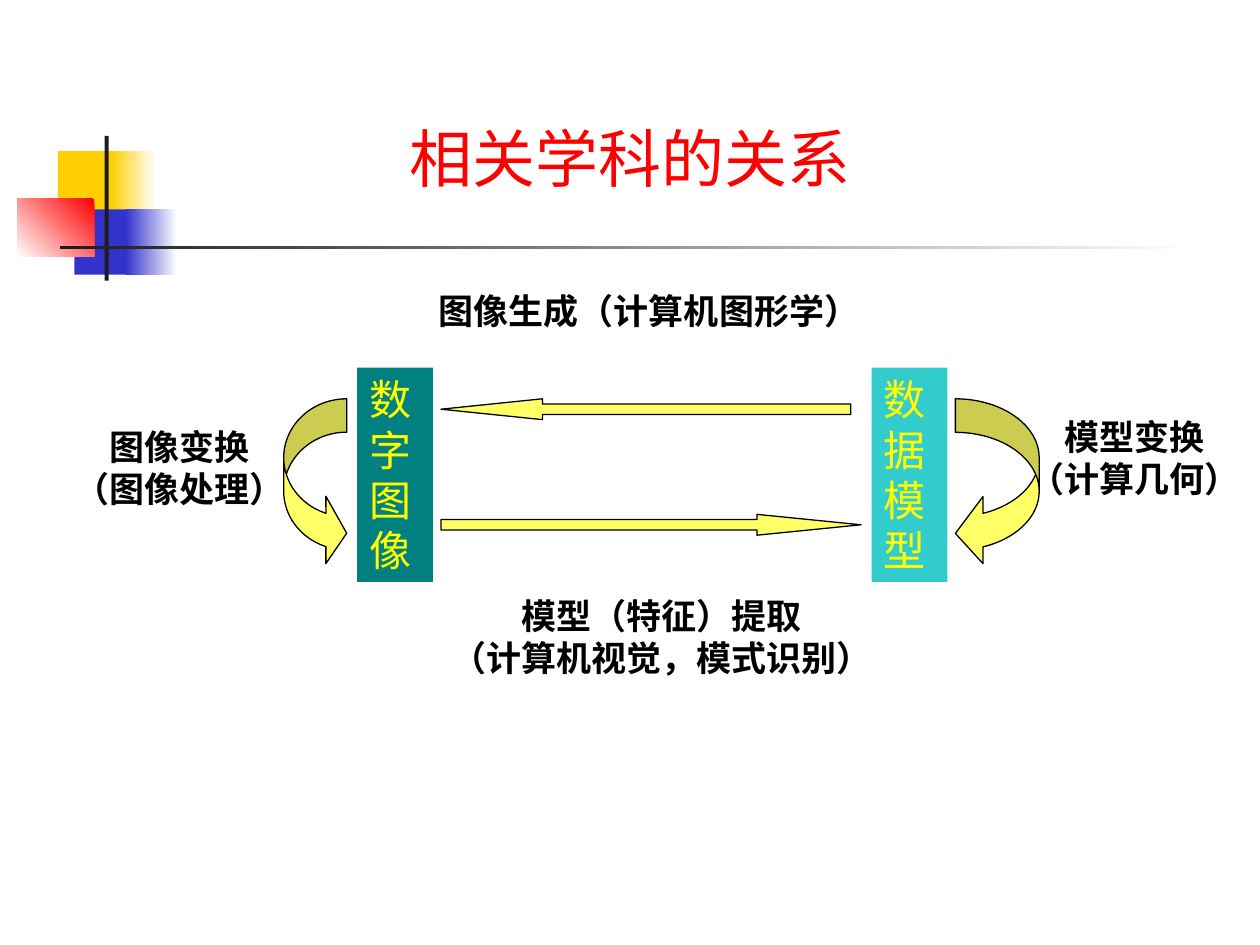
"""Build a slide on how digital images and data models relate across disciplines."""
from pptx import Presentation
from pptx.dml.color import RGBColor
from pptx.enum.shapes import MSO_SHAPE
from pptx.enum.text import MSO_ANCHOR, MSO_AUTO_SIZE, PP_ALIGN
from pptx.util import Cm, Pt

RECTANGLE = MSO_SHAPE.RECTANGLE
LEFT, CENTER = PP_ALIGN.LEFT, PP_ALIGN.CENTER
TOP, MIDDLE = MSO_ANCHOR.TOP, MSO_ANCHOR.MIDDLE
FIXED_SIZE = MSO_AUTO_SIZE.NONE
FONT = "Times New Roman"


def color(hex_text):
    return RGBColor.from_string(hex_text)


def write(shape, lines, size, ink, bold=False, align=CENTER, anchor=TOP, wrap=True):
    frame = shape.text_frame
    frame.word_wrap = wrap
    frame.auto_size = FIXED_SIZE
    frame.vertical_anchor = anchor
    for index, line in enumerate(lines):
        para = frame.add_paragraph() if index else frame.paragraphs[0]
        para.alignment = align
        span = para.add_run()
        span.text = line
        span.font.name = FONT
        span.font.size = Pt(size)
        span.font.bold = bold
        span.font.color.rgb = color(ink)


deck = Presentation()
deck.slide_width, deck.slide_height = Cm(25.4), Cm(19.05)
page = deck.slides.add_slide(deck.slide_layouts[5])

decorations = [
    (1.17, 3.05, 1.22, 1.32, ["FFCF01"], 0),
    (2.23, 3.05, 0.92, 1.32, ["FFFFFF", "FFCF01"], 180),
    (1.5, 4.22, 1.17, 1.32, ["3333CC"], 0),
    (2.54, 4.22, 1.02, 1.32, ["FFFFFF", "3333CC"], 180),
    (0.35, 4.01, 1.55, 1.17, ["FF0000", "FFFFFF"], 225),
    (2.11, 2.74, 0.08, 2.92, ["1C1C1C"], 0),
    (1.22, 4.95, 22.86, 0.08, ["FFFFFF", "1C1C1C"], 180),
]
for left, top, width, height, tints, angle in decorations:
    block = page.shapes.add_shape(RECTANGLE, Cm(left), Cm(top), Cm(width), Cm(height))
    block.shadow.inherit = False
    block.line.fill.background()
    if len(tints) == 1:
        block.fill.solid()
        block.fill.fore_color.rgb = color(tints[0])
    else:
        block.fill.gradient()
        block.fill.gradient_angle = angle
        for stop, tint in zip(block.fill.gradient_stops, tints):
            stop.color.rgb = color(tint)

title = page.shapes.title
title.left, title.top, title.width, title.height = Cm(3.39), Cm(1.9), Cm(18.63), Cm(2.54)
write(title, ["相关学科的关系"], 36, "FF0000", anchor=MIDDLE)

for left, name, tint in [(7.2, "数字图像", "008080"), (17.57, "数据模型", "33CCCC")]:
    box = page.shapes.add_shape(RECTANGLE, Cm(left), Cm(7.41), Cm(1.53), Cm(4.32))
    box.shadow.inherit = False
    box.fill.solid()
    box.fill.fore_color.rgb = color(tint)
    box.line.fill.background()
    write(box, [name], 24, "FFFF00", align=LEFT)

arrows = [
    (MSO_SHAPE.LEFT_ARROW, 8.89, 8.04, 8.26, 0.42, [0.5, 4.87]),
    (MSO_SHAPE.RIGHT_ARROW, 8.89, 10.37, 8.47, 0.42, [0.5, 5]),
    (MSO_SHAPE.CURVED_RIGHT_ARROW, 5.72, 8.04, 1.27, 3.39, [0.53, 1.07, 0.33]),
    (MSO_SHAPE.CURVED_LEFT_ARROW, 19.26, 8.04, 1.69, 3.39, [0.4, 0.8, 0.33]),
]
for kind, left, top, width, height, adjustments in arrows:
    arrow = page.shapes.add_shape(kind, Cm(left), Cm(top), Cm(width), Cm(height))
    arrow.shadow.inherit = False
    arrow.fill.solid()
    arrow.fill.fore_color.rgb = color("FFFF66")
    arrow.line.color.rgb = color("000000")
    arrow.line.width = Pt(0.75)
    for index, value in enumerate(adjustments):
        arrow.adjustments[index] = value

labels = [
    (8.59, 5.72, 8.99, 1.12, ["图像生成（计算机图形学）"]),
    (8.84, 11.86, 8.99, 1.96, ["模型（特征）提取", "（计算机视觉，模式识别）"]),
    (20.5, 8.26, 4.75, 1.96, ["模型变换", "（计算几何）"]),
    (1.24, 8.46, 4.75, 1.96, ["图像变换", "（图像处理）"]),
]
for left, top, width, height, lines in labels:
    label = page.shapes.add_textbox(Cm(left), Cm(top), Cm(width), Cm(height))
    write(label, lines, 20, "000000", bold=True, wrap=False)

deck.save("out.pptx")
